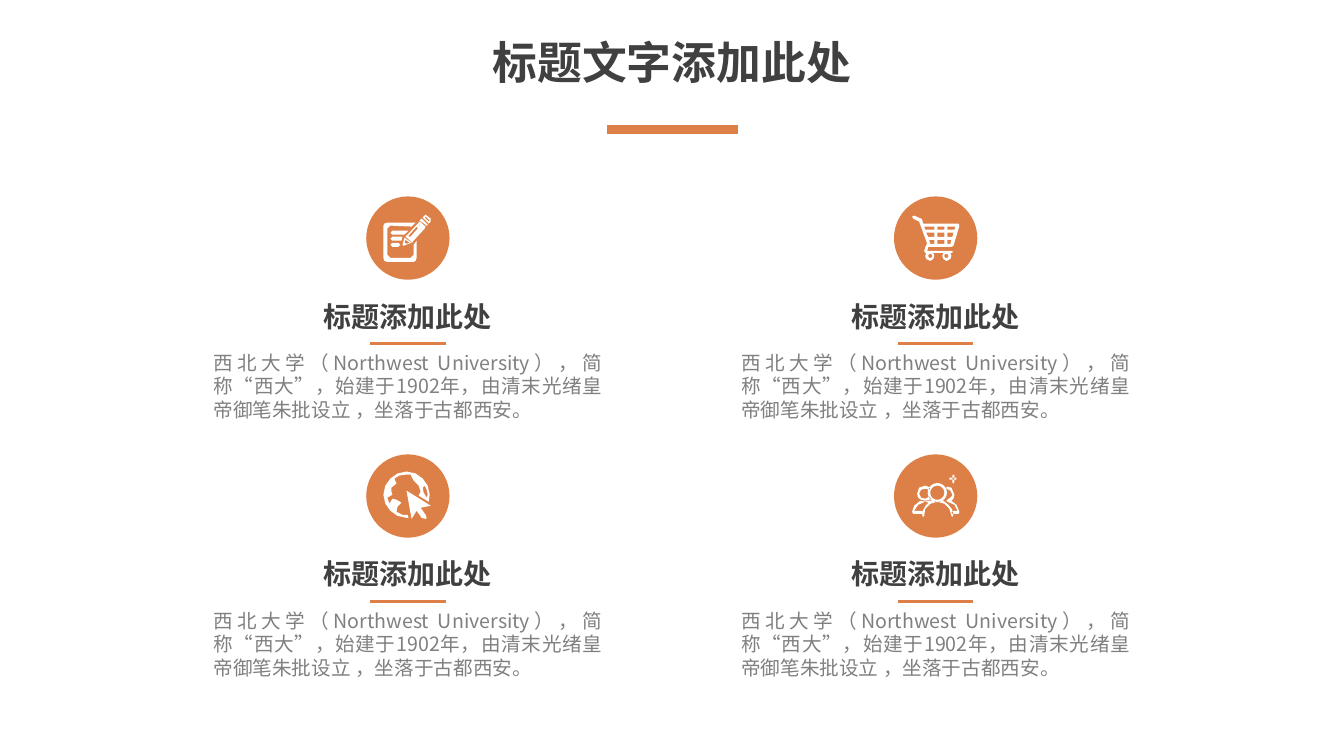
from math import cos, sin, pi
from lxml.etree import SubElement
from pptx import Presentation
from pptx.dml.color import RGBColor
from pptx.enum.shapes import MSO_CONNECTOR, MSO_SHAPE
from pptx.enum.text import MSO_AUTO_SIZE, PP_ALIGN
from pptx.oxml.ns import qn
from pptx.util import Cm, Pt

ORANGE, DARK, GRAY, WHITE = "DD8047", "404040", "808080", "FFFFFF"

NOTE = [
    "21,26 49,26 45,30 24,29 21,32 21,58 24,61 44,61 47,58 47,48 50,44 50,61 "
    "49,64 47,65 21,65 18,64 17,61 17,29 18,27",
    "26,46 32,46 34,48 32,50 26,50 24,48",
    "26,40 36,40 35,44 26,44 24,42",
    "26,34 42,34 38,38 26,38 24,36",
    "38,41 45,46 37,49 36,48",
    "39,43 38,46 40,47 43,46",
    "53,25 59,30 58,32 46,45 46,46 39,40 40,39 52,26",
    "50,30 42,39 42,40 44,40 51,32 51,31",
    "53,28 52,29 53,29 54,28",
    "55,22 61,28 61,29 60,29 53,24 54,23",
    "59,18 60,19 64,22 64,25 62,27 56,21 58,19",
    "59,20 58,21 62,25 63,24",
]
CART = [
    "20,19 27,22 28,23 29,27 64,27 65,29 59,49 57,50 34,50 33,54 57,54 59,55 "
    "57,56 56,56 57,59 56,62 52,64 49,62 48,59 49,56 39,56 40,59 39,62 36,64 "
    "32,62 31,59 32,56 31,56 30,54 32,48 33,47 25,25 19,22 18,20",
    "53,30 53,33 60,33 61,30",
    "53,36 53,40 58,40 59,36",
    "53,43 53,47 56,47 57,43",
    "43,30 43,33 50,33 50,30",
    "43,36 43,40 50,40 50,36",
    "43,43 43,47 50,47 50,43",
    "30,30 31,33 40,33 40,30",
    "32,36 34,40 40,40 40,36",
    "35,43 36,47 40,47 40,43",
    (36, 59, 2),
    (52, 59, 2),
]
GLOBE = [
    "40,36 64,51 54,53 59,60 60,63 59,64 55,63 50,56 45,64",
    "58,31 56,33 57,38 60,43 61,40 60,35",
    "40,17 49,19 56,24 61,31 63,40 62,47 52,41 54,37 52,31 47,26 44,20 40,20 "
    "33,21 28,24 30,29 25,33 25,37 26,40 21,43 23,49 26,44 30,45 35,48 31,52 "
    "30,57 36,60 41,60 42,63 40,63 31,61 24,56 19,49 17,40 19,31 24,24 31,19",
]
TEAM = [
    (43, 38, 9.5),
    (43, 38, 7),
    "37,46 43,47 49,46 54,50 58,55 57,58 59,60 58,62 57,61 55,54 50,49 43,47 "
    "36,49 31,54 30,61 29,62 28,61 29,55 32,50",
    "31,31 34,32 36,34 35,35 31,34 27,35 25,39 27,43 31,44 35,42 37,44 35,45 "
    "31,46 27,45 24,43 23,39 25,33",
    "37,46 35,48 31,47 24,50 20,56 28,56 29,58 28,59 19,59 18,57 20,51 26,46 "
    "31,47 34,46",
    "52,32 57,33 60,40 59,44 57,46 62,50 65,57 64,59 59,59 58,56 63,56 60,50 "
    "53,47 52,46 53,45 57,42 58,40 56,36 52,34",
    "58,25 60,25 60,27 59,29 58,28",
    "60,23 62,23 62,25 60,25",
    "55,23 58,23 58,25 55,25",
    "59,20 60,21 60,23 58,23 58,21",
]


def paint(code):
    return RGBColor.from_string(code)


def trace(part):
    if isinstance(part, str):
        return [tuple(map(int, pair.split(","))) for pair in part.split()]
    x, y, size = part
    turns = [pi * step / 12 for step in range(24)]
    return [(x + size * cos(turn), y + size * sin(turn)) for turn in turns]


class Page:
    font = "Noto Sans CJK SC"
    unit = Cm(2.54) / 100

    def __init__(self, slide):
        self.shapes = slide.shapes

    def text(self, words, x, y, wide, high, size, color, bold=False,
             align=PP_ALIGN.CENTER, wrap=False):
        box = self.shapes.add_textbox(Cm(x), Cm(y), Cm(wide), Cm(high))
        frame = box.text_frame
        frame.word_wrap = wrap
        frame.auto_size = MSO_AUTO_SIZE.SHAPE_TO_FIT_TEXT
        line = frame.paragraphs[0]
        line.text = words
        line.alignment = align
        font = line.font
        font.name, font.size, font.bold = self.font, Pt(size), bold
        font.color.rgb = paint(color)
        mark = line._p.pPr.find(qn("a:defRPr"))
        SubElement(mark, qn("a:ea")).set("typeface", self.font)

    def rule(self, mid, y, wide, weight):
        left, right = Cm(mid - wide / 2), Cm(mid + wide / 2)
        line = self.shapes.add_connector(
            MSO_CONNECTOR.STRAIGHT, left, Cm(y), right, Cm(y))
        line.line.color.rgb = paint(ORANGE)
        line.line.width = Pt(weight)
        SubElement(line._element.spPr, qn("a:effectLst"))

    def fill(self, shape, color):
        shape.shadow.inherit = False
        shape.fill.solid()
        shape.fill.fore_color.rgb = paint(color)
        shape.line.fill.background()

    def disc(self, x, y, size):
        disc = self.shapes.add_shape(
            MSO_SHAPE.OVAL, Cm(x), Cm(y), Cm(size), Cm(size))
        self.fill(disc, ORANGE)

    def icon(self, parts, x, y):
        paths = [[(a * self.unit, b * self.unit) for a, b in trace(part)]
                 for part in parts]
        pen = self.shapes.build_freeform(*paths[0][0], scale=1.0)
        pen.add_line_segments(paths[0][1:])
        for points in paths[1:]:
            pen.move_to(*points[0])
            pen.add_line_segments(points[1:])
        self.fill(pen.convert_to_shape(Cm(x), Cm(y)), WHITE)

    def card(self, icon, mid, top):
        self.disc(mid - 1.05, top, 2.1)
        self.icon(icon, mid - 1.05, top)
        self.text("标题添加此处", mid - 2.39, top + 2.46, 4.78, 1.11,
                  20, DARK, bold=True)
        self.text("西北大学（Northwest University），简称“西大”，始建于1902年，"
                  "由清末光绪皇帝御笔朱批设立 ，坐落于古都西安。",
                  mid - 5.15, top + 3.76, 10.3, 2.06, 14, GRAY,
                  align=PP_ALIGN.JUSTIFY, wrap=True)
        self.rule(mid, top + 3.7, 1.9, 2.25)


def main():
    deck = Presentation()
    deck.slide_width, deck.slide_height = Cm(33.87), Cm(19.05)
    page = Page(deck.slides.add_slide(deck.slide_layouts[6]))
    page.text("标题文字添加此处", 12.12, 0.76, 9.63, 1.63, 32, DARK, bold=True)
    for spot, icon in enumerate([NOTE, CART, GLOBE, TEAM]):
        row, col = divmod(spot, 2)
        page.card(icon, 10.28 + 13.3 * col, 4.95 + 6.5 * row)
    page.rule(16.94, 3.26, 3.3, 6)
    deck.save("out.pptx")


if __name__ == "__main__":
    main()
